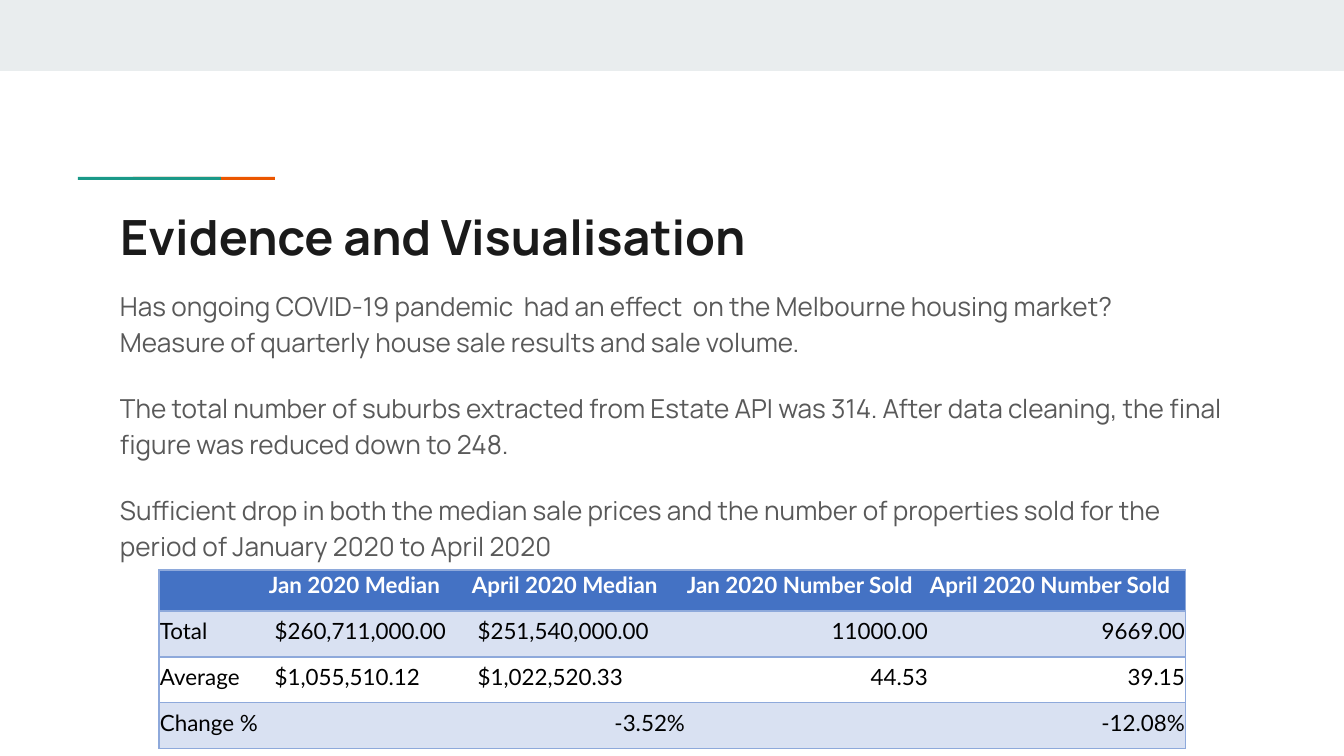
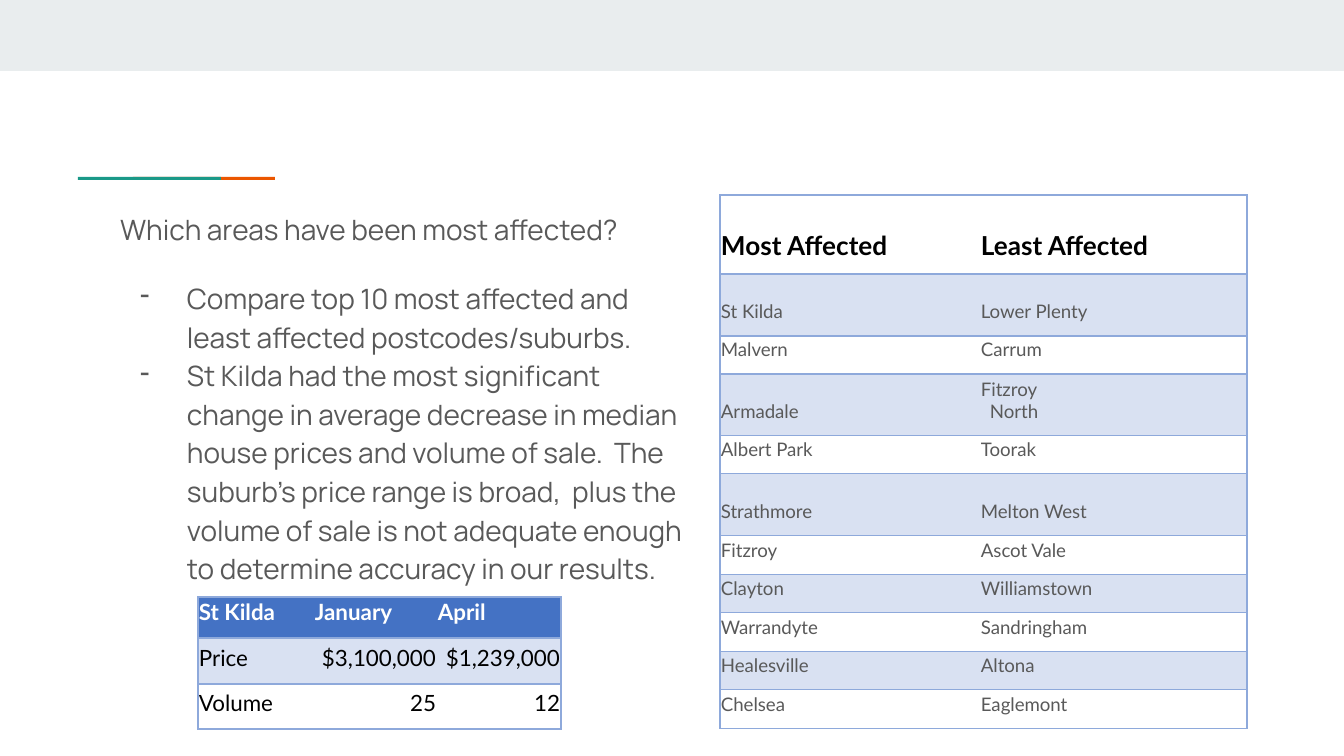
from dataclasses import dataclass

from lxml import etree
from pptx import Presentation
from pptx import util as u
from pptx.dml.color import RGBColor
from pptx.enum import shapes, text
from pptx.oxml import ns


@dataclass(frozen=True)
class Theme:
    band: str = "E9EDEE"
    teal: str = "1A9988"
    orange: str = "EB5600"
    title: str = "1A1A1A"
    body: str = "595959"
    header: str = "4472C4"
    stripe: str = "D9E1F2"
    border: str = "8EA9DB"
    white: str = "FFFFFF"
    black: str = "000000"
    text_font: str = "Manrope"
    table_font: str = "Lato"
    title_size: int = 26
    table_size: int = 12
    list_header_size: int = 14
    list_size: int = 10


theme = Theme()
EMU_PER_PIXEL = 914400 / 134.4
NO_TABLE_STYLE = "{2D5ABB26-0587-4C30-8999-92F81FD0307C}"


def px(pixels):
    return u.Emu(round(pixels * EMU_PER_PIXEL))


def style(paragraph, font_name, size, color, bold=False):
    for run in paragraph.runs:
        run.font.name = font_name
        run.font.size = u.Pt(size)
        run.font.bold = bold
        run.font.color.rgb = RGBColor.from_string(color)


presentation = Presentation()
presentation.slide_width = px(1344)
presentation.slide_height = px(756)
layouts = presentation.slide_layouts
evidence = presentation.slides.add_slide(layouts.get_by_name("Title Only"))
areas = presentation.slides.add_slide(layouts.get_by_name("Blank"))

decorations = [
    (0, 0, 1344, 71, theme.band),
    (133, 177, 142, 3, theme.orange),
    (78, 177, 143, 3, theme.teal),
]
for slide in (evidence, areas):
    for left, top, width, height, color in decorations:
        shape = slide.shapes.add_shape(
            shapes.MSO_SHAPE.RECTANGLE, px(left), px(top), px(width), px(height))
        shape.shadow.inherit = False
        shape.fill.solid()
        shape.fill.fore_color.rgb = RGBColor.from_string(color)
        shape.line.fill.background()

title = evidence.shapes.title
title.left, title.top, title.width, title.height = px(107), px(194), px(1130), px(79)
frame = title.text_frame
frame.text = "Evidence and Visualisation"
frame.word_wrap = True
frame.auto_size = text.MSO_AUTO_SIZE.NONE
frame.vertical_anchor = text.MSO_ANCHOR.TOP
frame.margin_left = frame.margin_right = frame.margin_top = frame.margin_bottom = px(13)
frame.paragraphs[0].alignment = text.PP_ALIGN.LEFT
style(frame.paragraphs[0], theme.text_font, theme.title_size, theme.title, True)

bodies = [
    (evidence, (107, 273, 1130, 271), 14, [
        ("Has ongoing COVID-19 pandemic  had an effect  on the Melbourne housing market? "
         "Measure of quarterly house sale results and sale volume.", 0, False),
        ("The total number of suburbs extracted from Estate API was 314. After data cleaning, "
         "the final figure was reduced down to 248.", 16, False),
        ("Sufficient drop in both the median sale prices and the number of properties sold "
         "for the period of January 2020 to April 2020", 16, False),
    ]),
    (areas, (107, 195, 597, 392), 15, [
        ("Which areas have been most affected?", 0, False),
        ("Compare top 10 most affected and least affected postcodes/suburbs.", 16, True),
        ("St Kilda had the most significant change in average decrease in median house prices "
         "and volume of sale.  The suburb’s price range is broad,  plus the volume of sale "
         "is not adequate enough to determine accuracy in our results.", 0, True),
    ]),
]
for slide, box, size, entries in bodies:
    frame = slide.shapes.add_textbox(*map(px, box)).text_frame
    frame.word_wrap = True
    frame.margin_left = frame.margin_right = frame.margin_top = frame.margin_bottom = px(13)
    for index, (words, space, bulleted) in enumerate(entries):
        paragraph = frame.add_paragraph() if index else frame.paragraphs[0]
        paragraph.text = words
        paragraph.line_spacing = 1.15
        paragraph.space_before = u.Pt(space)
        style(paragraph, theme.text_font, size, theme.body)
        if bulleted:
            properties = paragraph._p.get_or_add_pPr()
            properties.set("marL", str(px(67)))
            properties.set("indent", str(px(-47)))
            bullet_color = etree.SubElement(properties, ns.qn("a:buClr"))
            etree.SubElement(bullet_color, ns.qn("a:srgbClr")).set("val", theme.body)
            etree.SubElement(properties, ns.qn("a:buChar")).set("char", "-")

sales = [
    ["", "Jan 2020 Median", "April 2020 Median", "Jan 2020 Number Sold", "April 2020 Number Sold"],
    ["Total", " $260,711,000.00", " $251,540,000.00", "11000.00", "9669.00"],
    ["Average", " $1,055,510.12", " $1,022,520.33", "44.53", "39.15"],
    ["Change %", "", "-3.52%", "", "-12.08%"],
]
suburbs = [
    ["Most Affected", "Least Affected"],
    ["St Kilda", "Lower Plenty"],
    ["Malvern", "Carrum"],
    ["Armadale", "Fitzroy\nNorth"],
    ["Albert Park", "Toorak"],
    ["Strathmore", "Melton West"],
    ["Fitzroy", "Ascot Vale"],
    ["Clayton", "Williamstown"],
    ["Warrandyte", "Sandringham"],
    ["Healesville", "Altona"],
    ["Chelsea", "Eaglemont"],
]
st_kilda = [
    ["St Kilda", "January", "April"],
    ["Price", "$3,100,000", "$1,239,000"],
    ["Volume", "25", "12"],
]
dark_header = (theme.header, theme.white, theme.table_size)
light_header = (theme.white, theme.black, theme.list_header_size)
number_text = (theme.black, theme.table_size)
suburb_text = (theme.body, theme.list_size)
tables = [
    (evidence, 159, 570, [109, 203, 215, 243, 257], [41, 46, 46, 46],
     sales, dark_header, number_text),
    (areas, 720, 195, [260, 267], [79, 62, 38, 62, 38, 62, 39, 38, 39, 38, 39],
     suburbs, light_header, suburb_text),
    (areas, 198, 597, [116, 123, 124], [41, 46, 45],
     st_kilda, dark_header, number_text),
]
for slide, left, top, widths, heights, rows, header_look, body_look in tables:
    table = slide.shapes.add_table(
        len(rows), len(widths), px(left), px(top), px(sum(widths)), px(sum(heights))).table
    table._tbl.tblPr.find(ns.qn("a:tableStyleId")).text = NO_TABLE_STYLE
    for column, width in zip(table.columns, widths):
        column.width = px(width)
    header_fill, header_color, header_size = header_look
    for row_index, (values, height) in enumerate(zip(rows, heights)):
        table.rows[row_index].height = px(height)
        is_header = row_index == 0
        color, size = (header_color, header_size) if is_header else body_look
        fill = header_fill if is_header else theme.stripe if row_index % 2 else None
        for column_index, value in enumerate(values):
            cell = table.cell(row_index, column_index)
            cell.margin_left = cell.margin_right = cell.margin_top = px(1)
            cell.margin_bottom = px(13)
            cell.vertical_anchor = text.MSO_ANCHOR.BOTTOM
            sides = ["lnL"] if column_index == 0 else []
            sides += ["lnR"] if column_index == len(widths) - 1 else []
            for side in sides + ["lnT", "lnB"]:
                border = etree.SubElement(cell._tc.get_or_add_tcPr(), ns.qn("a:" + side))
                border.set("w", str(u.Pt(0.75)))
                border_fill = etree.SubElement(border, ns.qn("a:solidFill"))
                etree.SubElement(border_fill, ns.qn("a:srgbClr")).set("val", theme.border)
            if fill:
                cell.fill.solid()
                cell.fill.fore_color.rgb = RGBColor.from_string(fill)
            else:
                cell.fill.background()
            cell.text_frame.text = value
            for line_index, paragraph in enumerate(cell.text_frame.paragraphs):
                style(paragraph, theme.table_font, size, color, is_header)
                if line_index:
                    paragraph._p.get_or_add_pPr().set("marL", str(px(9)))
                if not value:
                    end = etree.SubElement(paragraph._p, ns.qn("a:endParaRPr"))
                    end.set("sz", str(size * 100))
                elif not is_header and value[0] in "-$0123456789":
                    paragraph.alignment = text.PP_ALIGN.RIGHT
                    paragraph.line_spacing = 1.15

presentation.save("out.pptx")
